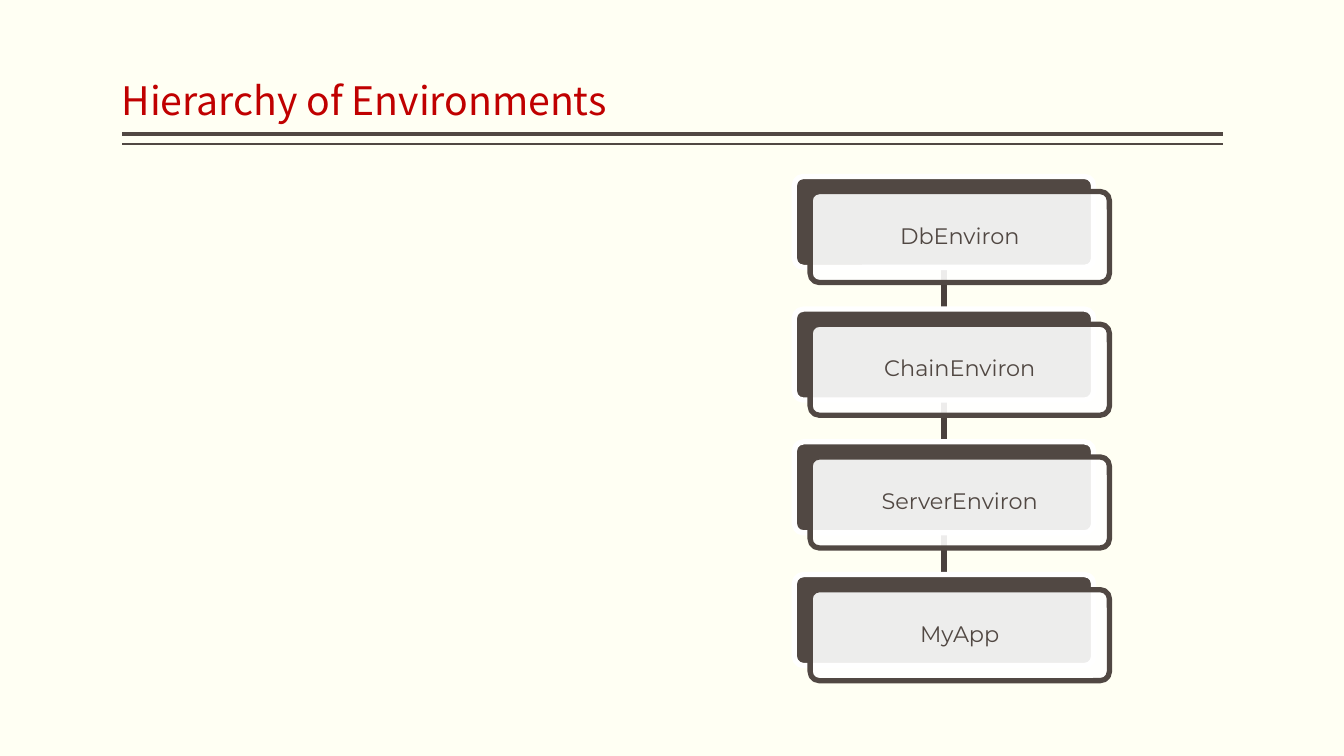
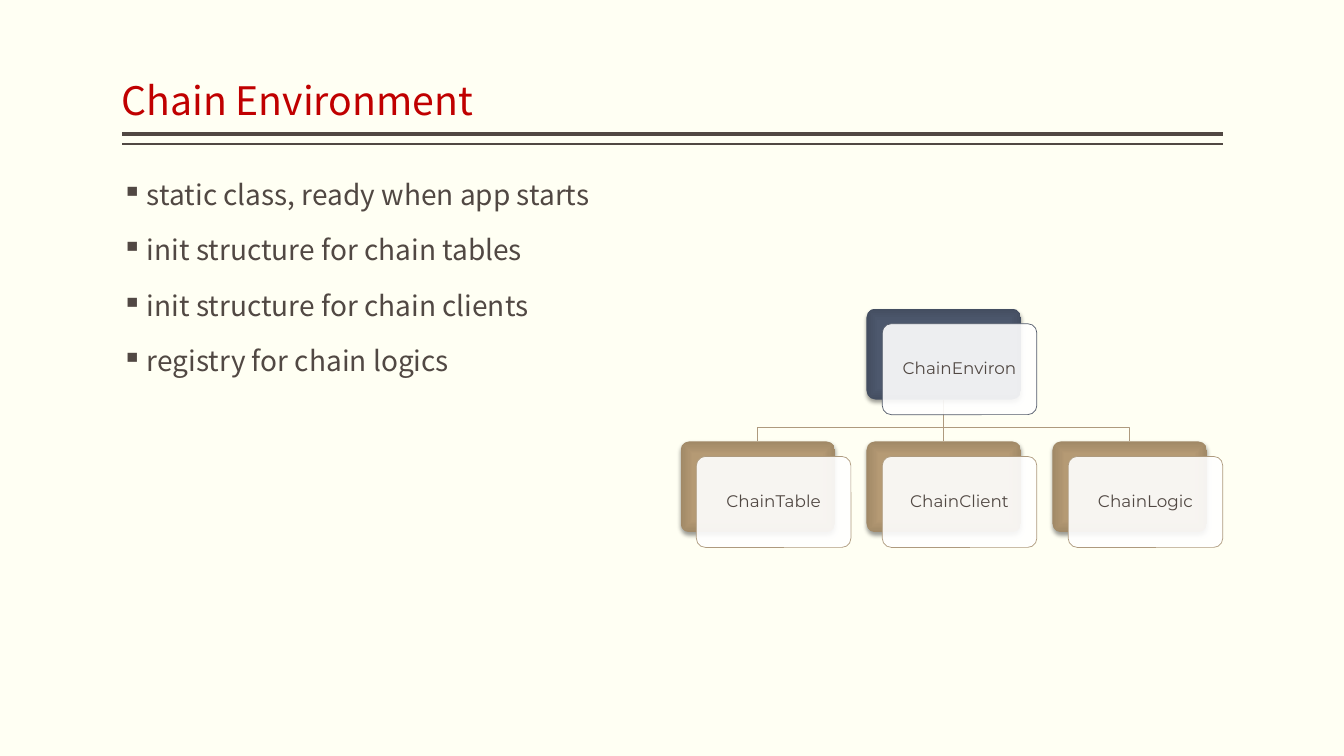
from collections import namedtuple

from lxml import etree
from pptx import Presentation
from pptx.dml.color import RGBColor
from pptx.enum.shapes import MSO_CONNECTOR as Connector, MSO_SHAPE as Shape
from pptx.enum.text import MSO_ANCHOR as Anchor, PP_ALIGN as Align
from pptx.oxml.ns import qn
from pptx.util import Pt

IVORY = RGBColor(0xFF, 0xFF, 0xF3)
WHITE = RGBColor(0xFF, 0xFF, 0xFF)
BROWN = RGBColor(0x51, 0x48, 0x43)
RED = RGBColor(0xC0, 0x00, 0x00)
LINK_BROWN = RGBColor(0x4A, 0x41, 0x3D)
TAN = RGBColor(0xAE, 0x9A, 0x7E)
SLATE = RGBColor(0x52, 0x5A, 0x6A)
SLATE_GLOW = [(0, RGBColor(0x4E, 0x59, 0x6E)), (71, RGBColor(0x4D, 0x58, 0x6D)),
              (100, RGBColor(0x44, 0x4E, 0x61))]
TAN_GLOW = [(0, RGBColor(0xB7, 0x9B, 0x75)), (71, RGBColor(0xB5, 0x9A, 0x74)),
            (100, RGBColor(0xA1, 0x89, 0x67))]

BODY_FONT = "Noto Sans CJK SC"
CARD_FONT = "Montserrat"

Box = namedtuple("Box", "left top width height")
# edge and weight outline the front plate; a list as back means a glow
CardStyle = namedtuple("CardStyle", "back edge weight size inset")
HEADER = Box(87, 6, 786.4, 86.2)
BODY = Box(87, 126, 387.4, 360)
STACK = Box(567.4, 126, 225.1, 360.2)
TREE = Box(486.1, 220.4, 387.3, 170.6)
CARD_HEIGHT = 65
SHIFT_X, SHIFT_Y = 11.3, 10.8


def points(*lengths):
    return [Pt(length) for length in lengths]


def node(parent, tag, **attributes):
    return etree.SubElement(parent, qn(tag), {k: str(v) for k, v in attributes.items()})


# Text
def write(frame, lines, *, size, color, font=BODY_FONT, align=Align.LEFT,
          anchor=Anchor.TOP, insets=(0, 3.6, 0, 3.6), before=0, bullet=None):
    frame.word_wrap = True
    frame.vertical_anchor = anchor
    (frame.margin_left, frame.margin_top,
     frame.margin_right, frame.margin_bottom) = points(*insets)
    for index, line in enumerate(lines):
        para = frame.add_paragraph() if index else frame.paragraphs[0]
        para.alignment = align
        para.line_spacing = 0.9
        para.space_before = Pt(before)
        if bullet:
            props = para._p.get_or_add_pPr()
            props.set("marL", str(Pt(18)))
            props.set("indent", str(-Pt(18)))
            node(props, "a:buChar", char=bullet)
        span = para.add_run()
        span.text = line
        span.font.name, span.font.size = font, Pt(size)
        span.font.color.rgb = color


# Lines
def draw_line(page, start, end, color, weight):
    line = page.shapes.add_connector(Connector.STRAIGHT, *points(*start, *end))
    line.line.color.rgb = color
    line.line.width = Pt(weight)
    node(line._element.spPr, "a:effectLst")
    return line


def join(line, upper, lower):
    line.begin_connect(upper, 2)
    line.end_connect(lower, 0)


def draw_branch(page, start, end, bend, color, weight):
    (x1, y1), (x2, y2) = start, end
    builder = page.shapes.build_freeform(Pt(x1), Pt(y1))
    builder.add_line_segments([points(x1, bend), points(x2, bend), points(x2, y2)],
                              close=False)
    branch = builder.convert_to_shape()
    branch.shadow.inherit = False
    branch.fill.background()
    branch.line.color.rgb = color
    branch.line.width = Pt(weight)


# Cards: a coloured plate behind a translucent white one
def add_plate(page, box, color):
    plate = page.shapes.add_shape(Shape.ROUNDED_RECTANGLE, *points(*box))
    plate.adjustments[0] = 0.1
    plate.shadow.inherit = False
    plate.fill.solid()
    plate.fill.fore_color.rgb = color
    return plate


def add_glow(plate, stops):
    props = plate._element.spPr
    gradient = etree.Element(qn("a:gradFill"), rotWithShape="1")
    stop_list = node(gradient, "a:gsLst")
    for position, color in stops:
        node(node(stop_list, "a:gs", pos=position * 1000), "a:srgbClr", val=color)
    center = node(gradient, "a:path", path="rect")
    node(center, "a:fillToRect", l=50000, t=50000, r=50000, b=50000)
    props.replace(props.find(qn("a:solidFill")), gradient)
    shadow = node(props.find(qn("a:effectLst")), "a:outerShdw", blurRad=Pt(3.1),
                  dist=Pt(2), dir=5400000, algn="ctr", rotWithShape=0)
    node(node(shadow, "a:srgbClr", val="000000"), "a:alpha", val=38000)


def add_card(page, box, label, style):
    glowing = isinstance(style.back, list)
    back = add_plate(page, box, style.back[0][1] if glowing else style.back)
    if glowing:
        back.line.fill.background()
        add_glow(back, style.back)
    else:
        back.line.color.rgb = WHITE
        back.line.width = Pt(style.weight)

    front = add_plate(page, box._replace(left=box.left + SHIFT_X, top=box.top + SHIFT_Y),
                      WHITE)
    white = front._element.spPr.find(qn("a:solidFill")).find(qn("a:srgbClr"))
    node(white, "a:alpha", val=90000)
    front.line.color.rgb = style.edge
    front.line.width = Pt(style.weight)
    write(front.text_frame, [label], size=style.size, color=BROWN, font=CARD_FONT,
          align=Align.CENTER, anchor=Anchor.MIDDLE, insets=(style.inset,) * 4)
    return back


# Regions
def add_header(page, box, title):
    right, bottom = box.left + box.width, box.top + box.height
    for gap, weight in ((3.6, 3), (10.8, 1)):
        draw_line(page, (right, bottom + gap), (box.left, bottom + gap), BROWN, weight)
    holder = page.shapes.add_textbox(*points(*box))
    write(holder.text_frame, [title], size=28, color=RED, anchor=Anchor.BOTTOM)


def add_bullets(page, box, lines):
    holder = page.shapes.add_textbox(*points(*box))
    write(holder.text_frame, lines, size=20, color=BROWN, before=18, bullet="▪")


def add_stack(page, box, labels):
    style = CardStyle(BROWN, BROWN, 3.78, 16, 7)
    width = box.width - SHIFT_X
    pitch = (box.height - SHIFT_Y - CARD_HEIGHT) / (len(labels) - 1)
    tops = [box.top + index * pitch for index in range(len(labels))]
    middle = box.left + width / 2
    links = [draw_line(page, (middle, upper + CARD_HEIGHT), (middle, lower),
                       LINK_BROWN, style.weight)
             for upper, lower in zip(tops, tops[1:])]
    cards = [add_card(page, Box(box.left, top, width, CARD_HEIGHT), label, style)
             for top, label in zip(tops, labels)]
    for link, upper, lower in zip(links, cards, cards[1:]):
        join(link, upper, lower)


def add_tree(page, box, root, children):
    root_style = CardStyle(SLATE_GLOW, SLATE, 0.5, 12, 5.5)
    child_style = root_style._replace(back=TAN_GLOW, edge=TAN)
    width = 110.4
    pitch = (box.width - SHIFT_X - width) / (len(children) - 1)
    child_top = box.top + box.height - SHIFT_Y - CARD_HEIGHT
    root_left = box.left + (box.width - SHIFT_X - width) / 2
    lefts = [box.left + index * pitch for index in range(len(children))]
    center = len(children) // 2

    # Links lie behind the cards
    start = (root_left + width / 2, box.top + CARD_HEIGHT)
    ends = [(left + width / 2, child_top) for left in lefts]
    for index, end in enumerate(ends):
        if index != center:
            draw_branch(page, start, end, child_top - 9.6, TAN, 0.5)
    trunk = draw_line(page, start, ends[center], TAN, 0.5)

    parent = add_card(page, Box(root_left, box.top, width, CARD_HEIGHT), root, root_style)
    cards = [add_card(page, Box(left, child_top, width, CARD_HEIGHT), label, child_style)
             for left, label in zip(lefts, children)]
    join(trunk, parent, cards[center])


# Slides
def add_page(deck, title):
    page = deck.slides.add_slide(deck.slide_layouts[6])
    page.background.fill.solid()
    page.background.fill.fore_color.rgb = IVORY
    add_header(page, HEADER, title)
    return page


def main():
    deck = Presentation()
    deck.slide_width, deck.slide_height = points(960, 540)

    page = add_page(deck, "Hierarchy of Environments")
    add_stack(page, STACK, ["DbEnviron", "ChainEnviron", "ServerEnviron", "MyApp"])

    page = add_page(deck, "Chain Environment")
    add_bullets(page, BODY, ["static class, ready when app starts",
                             "init structure for chain tables",
                             "init structure for chain clients",
                             "registry for chain logics"])
    add_tree(page, TREE, "ChainEnviron", ["ChainTable", "ChainClient", "ChainLogic"])

    deck.save("out.pptx")


if __name__ == "__main__":
    main()
